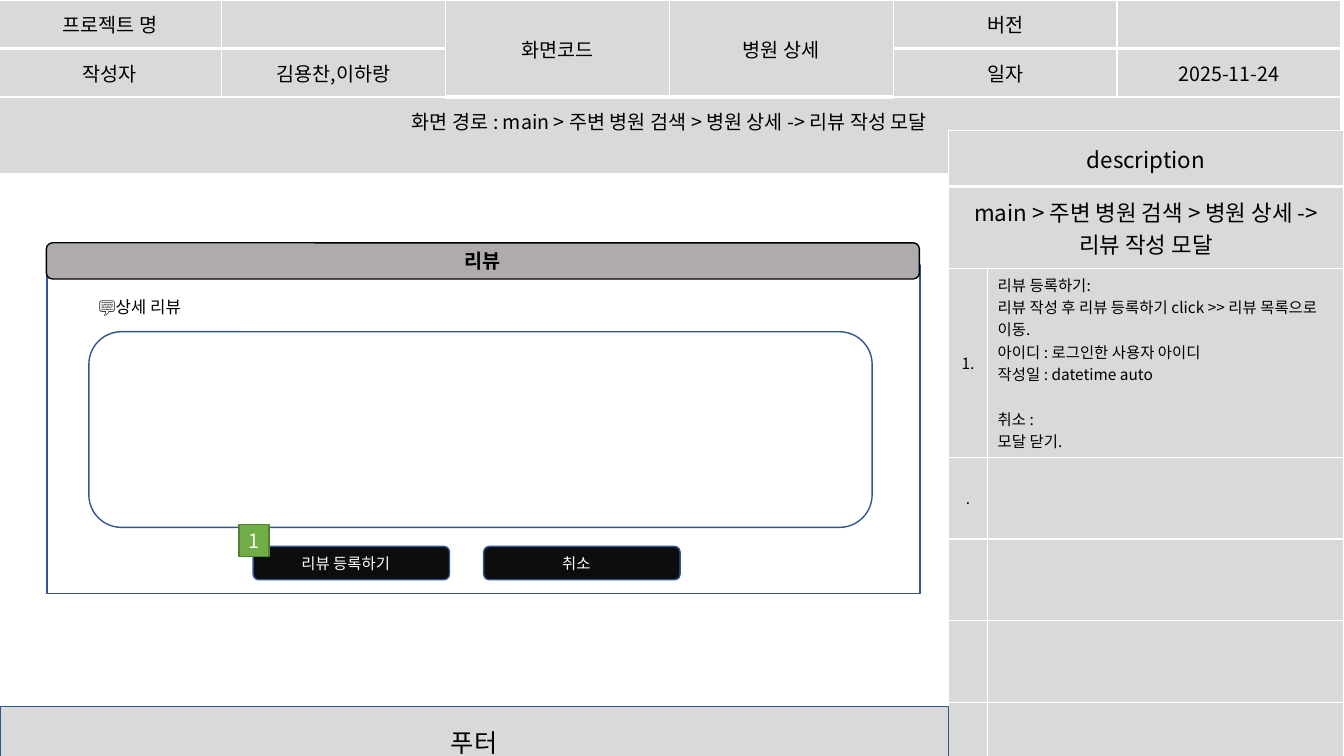
import pptx
import pptx.dml.color
import pptx.enum.shapes
import pptx.enum.text
import pptx.oxml.ns
import pptx.util
from lxml import etree

Cm = pptx.util.Cm
Pt = pptx.util.Pt
RGBColor = pptx.dml.color.RGBColor
Shape = pptx.enum.shapes.MSO_SHAPE
Align = pptx.enum.text.PP_ALIGN
Anchor = pptx.enum.text.MSO_ANCHOR
qn = pptx.oxml.ns.qn

WHITE = RGBColor(0xFF, 0xFF, 0xFF)
BLACK = RGBColor(0x00, 0x00, 0x00)
PANEL = RGBColor(0xD9, 0xD9, 0xD9)
BAR = RGBColor(0xAF, 0xAB, 0xAB)
BUTTON = RGBColor(0x0D, 0x0D, 0x0D)
BLUE = RGBColor(0x32, 0x54, 0x91)
GREEN = RGBColor(0x70, 0xAD, 0x47)
DARK_GREEN = RGBColor(0x53, 0x80, 0x35)

PATH = "main > 주변 병원 검색 > 병원 상세 -> 리뷰 작성 모달"


class Wireframe:
    font = "Noto Sans CJK KR"

    def __init__(self, s):
        self.s = s

    def text(self, tf, lines, size, color=BLACK, align=Align.CENTER, bold=False):
        tf.text = "\n".join(lines)
        for p in tf.paragraphs:
            p.alignment = align
            p.line_spacing = 1.0
            f = p.font
            f.size, f.bold, f.name = Pt(size), bold, self.font
            f.color.rgb = color
            etree.SubElement(f._element, qn("a:ea"), typeface=self.font)

    def box(self, kind, left, top, width, height, fill, line, text="", size=12,
            color=BLACK, align=Align.CENTER):
        sp = self.s.shapes.add_shape(kind, Cm(left), Cm(top), Cm(width), Cm(height))
        sp.shadow.inherit = False
        sp.fill.solid()
        sp.fill.fore_color.rgb = fill
        sp.line.color.rgb = line
        sp.line.width = Pt(1)
        if text:
            sp.text_frame.vertical_anchor = Anchor.MIDDLE
            self.text(sp.text_frame, [text], size, color, align)
        return sp

    def title(self, text, left, top, width, height):
        """Place the title placeholder in front of the shapes drawn so far."""
        sp = self.s.shapes.title
        sp.left, sp.top, sp.width, sp.height = Cm(left), Cm(top), Cm(width), Cm(height)
        tf = sp.text_frame
        tf.auto_size = pptx.enum.text.MSO_AUTO_SIZE.NONE
        tf.vertical_anchor = Anchor.MIDDLE
        tf.margin_top = tf.margin_bottom = 0
        self.text(tf, [text], 14, bold=True)
        self.s.shapes._spTree.append(sp._element)

    def table(self, left, top, widths, heights):
        """Add a grey grid with white rules, thicker under its first row."""
        frame = self.s.shapes.add_table(len(heights), len(widths), Cm(left), Cm(top),
                                        Cm(sum(widths)), Cm(sum(heights)))
        t = frame.table
        t.first_row = t.horz_banding = False
        for column, width in zip(t.columns, widths):
            column.width = Cm(width)
        for i, (row, height) in enumerate(zip(t.rows, heights)):
            row.height = Cm(height)
            for cell in row.cells:
                self.borders(cell, 3 if i == 0 else 1)
                cell.fill.solid()
                cell.fill.fore_color.rgb = PANEL
                self.text(cell.text_frame, [""], 11)
        return t

    def borders(self, cell, bottom):
        tcPr = cell._tc.get_or_add_tcPr()
        for side, width in (("L", 1), ("R", 1), ("T", 1), ("B", bottom)):
            ln = etree.SubElement(tcPr, qn("a:ln" + side), w=str(Pt(width)))
            fill = etree.SubElement(ln, qn("a:solidFill"))
            etree.SubElement(fill, qn("a:srgbClr"), val=str(WHITE))

    def cell(self, cell, lines, size, anchor=Anchor.MIDDLE, align=Align.CENTER, margin=None):
        cell.vertical_anchor = anchor
        if margin:
            cell.margin_left = cell.margin_right = Cm(margin)
            cell.margin_top = cell.margin_bottom = Cm(margin)
        self.text(cell.text_frame, lines, size, align=align)


def add_header(w):
    t = w.table(-0.05, 0, [5.64] * 6, [1.22, 1.22, 1.93])
    for column in (2, 3):
        t.cell(0, column).merge(t.cell(1, column))
    t.cell(2, 0).merge(t.cell(2, 5))
    for row, column, text in (
        (0, 0, "프로젝트 명"), (0, 2, "화면코드"), (0, 3, "병원 상세"), (0, 4, "버전"),
        (1, 0, "작성자"), (1, 1, "김용찬,이하랑"), (1, 4, "일자"), (1, 5, "2025-11-24"),
        (2, 0, "화면 경로 : " + PATH),
    ):
        anchor = Anchor.MIDDLE if column in (2, 3) else Anchor.TOP
        w.cell(t.cell(row, column), [text], 14, anchor, margin=0.25)


def add_description(w):
    t = w.table(23.9, 3.28, [0.99, 8.97], [1.42, 2.06, 4.75] + [2.06] * 4)
    for row, text in enumerate(("description", PATH)):
        t.cell(row, 0).merge(t.cell(row, 1))
        w.cell(t.cell(row, 0), [text], 16)
    for row, mark in ((2, "1."), (3, ".")):
        w.cell(t.cell(row, 0), [mark], 11)
    notes = t.cell(2, 1)
    w.cell(notes, [
        "리뷰 등록하기:",
        "리뷰 작성 후 리뷰 등록하기 click >> 리뷰 목록으로 이동.",
        "아이디 : 로그인한 사용자 아이디",
        "작성일 : datetime auto",
        "취소 :",
        "모달 닫기.",
    ], 11, Anchor.TOP, Align.LEFT)
    notes.text_frame.paragraphs[4].space_before = Pt(16)


def add_modal(w):
    w.box(Shape.ROUNDED_RECTANGLE, 1.17, 6.12, 22, 0.91, BAR, BLACK)
    w.title("리뷰", 1.17, 6.12, 22, 0.91)
    for left, text in ((6.38, "리뷰 등록하기"), (12.19, "취소")):
        sp = w.box(Shape.ROUNDED_RECTANGLE, left, 13.77, 4.95, 0.84, BUTTON, BLUE,
                   text, 11, WHITE)
        sp.text_frame.margin_right = Cm(0.53)
    w.box(Shape.ROUNDED_RECTANGLE, 2.24, 8.36, 19.74, 4.93, WHITE, BLUE)
    w.box(Shape.RECTANGLE, 6.02, 13.21, 0.76, 0.81, GREEN, DARK_GREEN, "1", 14, WHITE)


def main():
    prs = pptx.Presentation()
    prs.slide_width, prs.slide_height = Cm(33.87), Cm(19.05)
    w = Wireframe(prs.slides.add_slide(prs.slide_layouts[5]))

    panel = w.box(Shape.RECTANGLE, 1.19, 6.68, 22, 8.28, WHITE, BLUE,
                  "💬상세 리뷰", 12, align=Align.LEFT)
    tf = panel.text_frame
    tf.vertical_anchor = Anchor.TOP
    tf.margin_left, tf.margin_top = Cm(1.3), Cm(0.8)

    add_header(w)
    add_description(w)
    w.box(Shape.RECTANGLE, 0, 17.81, 23.9, 1.78, PANEL, BLUE, "푸터", 18)
    add_modal(w)
    prs.save("out.pptx")


if __name__ == "__main__":
    main()
